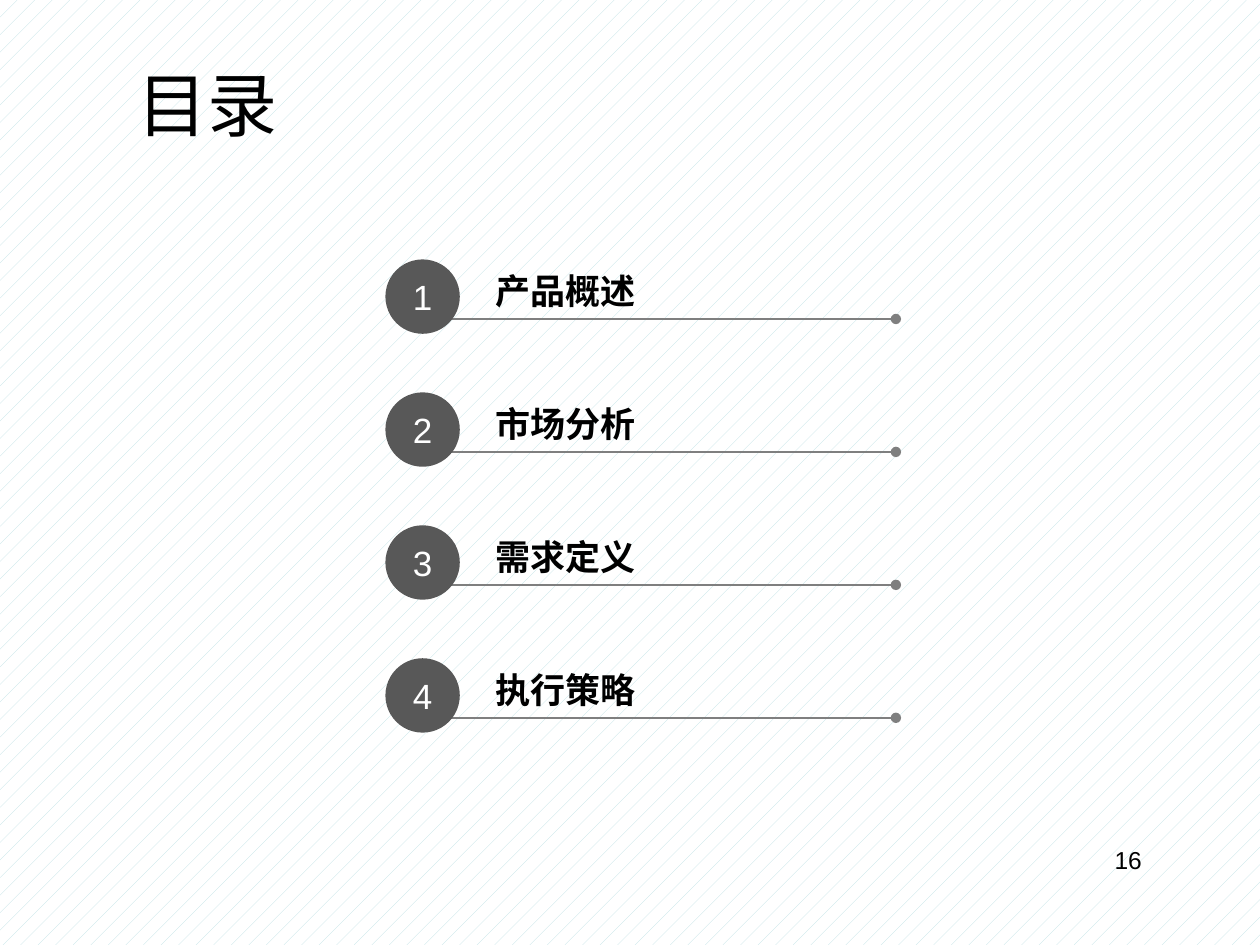
"""Build a contents slide with four numbered, underlined entries."""
from dataclasses import dataclass

from lxml.etree import SubElement
from pptx import Presentation
from pptx.dml.color import RGBColor
from pptx.enum.dml import MSO_PATTERN
from pptx.enum.shapes import MSO_CONNECTOR, MSO_SHAPE
from pptx.enum.text import MSO_ANCHOR, MSO_AUTO_SIZE, PP_ALIGN
from pptx.oxml.ns import qn
from pptx.slide import Slide
from pptx.util import Cm, Pt

ENTRIES = ["产品概述", "市场分析", "需求定义", "执行策略"]
FIRST_TOP, PITCH = 5.23, 2.68


def color(hex_string):
    return RGBColor.from_string(hex_string)


@dataclass
class ContentsSlide:
    slide: Slide
    latin: str = "Arial"
    chinese: str = "Noto Sans CJK SC"
    ink: str = "000000"
    badge_fill: str = "585858"
    badge_ink: str = "FFFFFF"
    rule_ink: str = "7F7F7F"

    def background(self, dots, paper):
        fill = self.slide.background.fill
        fill.patterned()
        fill.pattern = MSO_PATTERN.PERCENT_5
        fill.fore_color.rgb = color(dots)
        fill.back_color.rgb = color(paper)

    def set_text(self, frame, text, size, font, ink, align, bold=False):
        frame.text = text
        frame.word_wrap = True
        paragraph = frame.paragraphs[0]
        paragraph.alignment = align
        run = paragraph.runs[0]
        run.font.size = Pt(size)
        run.font.name = font
        run.font.bold = bold
        run.font.color.rgb = color(ink)
        east_asian = SubElement(run._r.get_or_add_rPr(), qn("a:ea"))
        east_asian.set("typeface", self.chinese)

    def tighten(self, frame):
        frame.margin_left = frame.margin_right = Cm(0.18)
        frame.margin_top = frame.margin_bottom = Cm(0.1)

    def title(self, text, left, top, width, height):
        heading = self.slide.shapes.title
        heading.left, heading.top = Cm(left), Cm(top)
        heading.width, heading.height = Cm(width), Cm(height)
        frame = heading.text_frame
        self.set_text(frame, text, 40, self.latin, self.ink, PP_ALIGN.CENTER)
        frame.vertical_anchor = MSO_ANCHOR.TOP
        frame.auto_size = MSO_AUTO_SIZE.SHAPE_TO_FIT_TEXT

    def rule(self, left, right, y):
        line = self.slide.shapes.add_connector(
            MSO_CONNECTOR.STRAIGHT, Cm(left), Cm(y), Cm(right), Cm(y))
        line.line.color.rgb = color(self.rule_ink)
        line.line.width = Pt(1)
        properties = line._element.spPr
        SubElement(properties.find(qn("a:ln")), qn("a:tailEnd")).set("type", "oval")
        SubElement(properties, qn("a:effectLst"))

    def badge(self, number, left, top, size):
        circle = self.slide.shapes.add_shape(
            MSO_SHAPE.OVAL, Cm(left), Cm(top), Cm(size), Cm(size))
        circle.shadow.inherit = False
        circle.fill.solid()
        circle.fill.fore_color.rgb = color(self.badge_fill)
        circle.line.fill.background()
        frame = circle.text_frame
        self.tighten(frame)
        frame.vertical_anchor = MSO_ANCHOR.MIDDLE
        self.set_text(frame, str(number), 20, self.latin, self.badge_ink, PP_ALIGN.CENTER)

    def label(self, text, left, top, width, height):
        frame = self.slide.shapes.add_textbox(
            Cm(left), Cm(top), Cm(width), Cm(height)).text_frame
        self.tighten(frame)
        self.set_text(frame, text, 20, self.chinese, self.ink, PP_ALIGN.LEFT, bold=True)
        frame.auto_size = MSO_AUTO_SIZE.SHAPE_TO_FIT_TEXT

    def page_number(self, text, left, top, width, height):
        frame = self.slide.shapes.add_textbox(
            Cm(left), Cm(top), Cm(width), Cm(height)).text_frame
        self.set_text(frame, text, 14, self.latin, self.ink, PP_ALIGN.RIGHT)

    def entry(self, number, text, top):
        self.rule(9.04, 18.06, top + 1.2)
        self.badge(number, 7.77, top, 1.5)
        self.label(text, 9.8, top + 0.1, 7.04, 1.04)


def main():
    deck = Presentation()
    deck.slide_width, deck.slide_height = Cm(25.4), Cm(19.05)
    title_only = deck.slide_layouts.get_by_name("Title Only")
    contents = ContentsSlide(deck.slides.add_slide(title_only))
    contents.background("BBE0E3", "FFFFFF")
    contents.title("目录", 0.89, 1.12, 6.6, 1.96)
    for index, text in enumerate(ENTRIES):
        contents.entry(index + 1, text, FIRST_TOP + index * PITCH)
    contents.page_number("16", 17.35, 16.92, 5.92, 1.32)
    deck.save("out.pptx")


if __name__ == "__main__":
    main()
